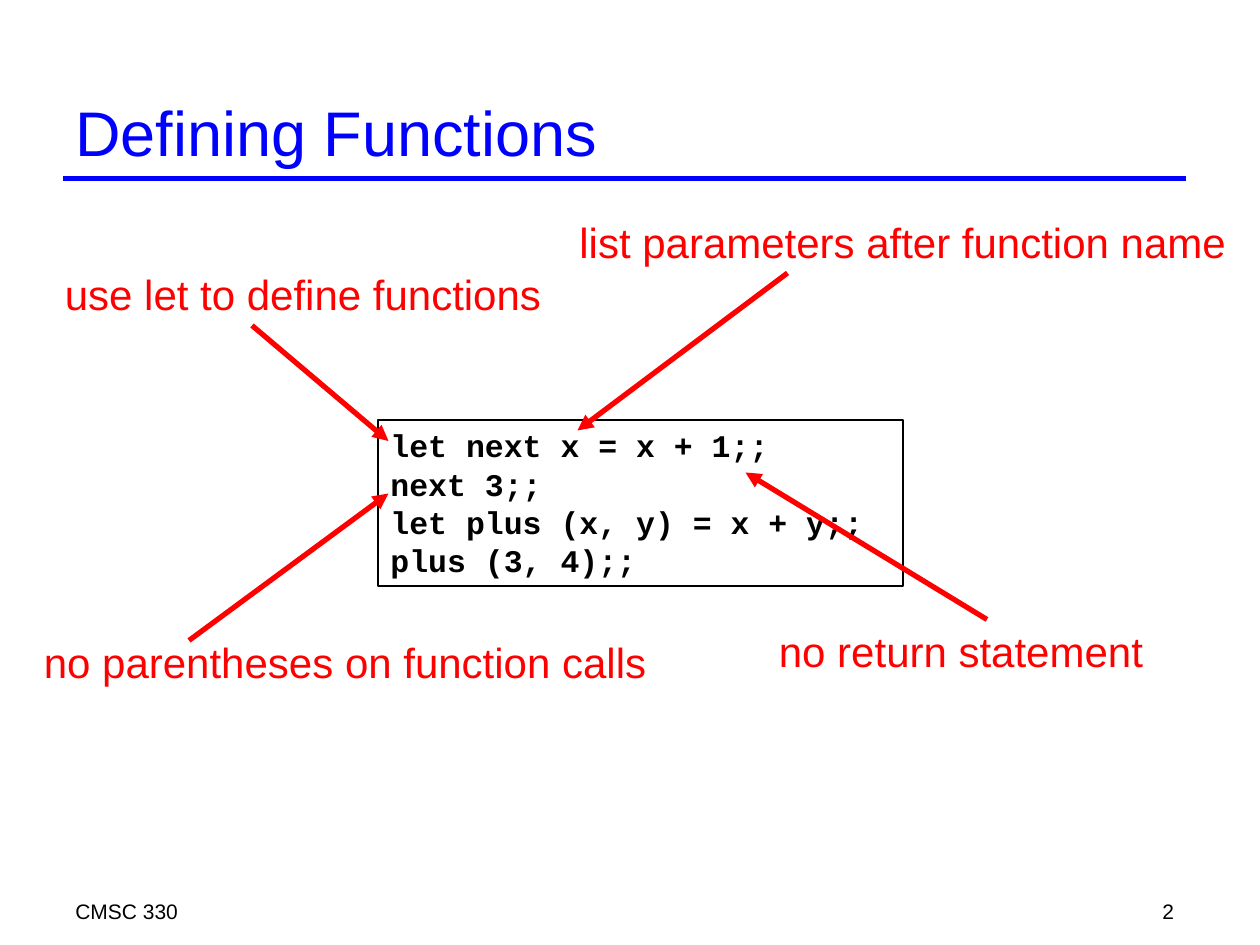
from pptx import Presentation
from pptx.dml.color import RGBColor
from pptx.enum import shapes, text
from pptx.oxml import ns, parse_xml
from pptx.util import Pt

COLORS = {"title": "0000FF", "note": "FF0000", "ink": "000000"}
CODE = ["let next x = x + 1;;", "next 3;;", "let plus (x, y) = x + y;;", "plus (3, 4);;"]
# Wording, box (left, top, width), arrow start, arrow end
NOTES = [
    ("use let to define functions", (30, 150, 286.5), (144, 186), (222, 252)),
    ("list parameters after function name", (324, 120, 384.5), (450, 156), (330, 246)),
    ("no return statement", (438, 354, 222.5), (564, 354), (426, 270)),
    ("no parentheses on function calls", (18, 360, 359.5), (108, 366), (222, 282)),
]


def color(name):
    return RGBColor.from_string(COLORS[name])


def style(para, size, ink, font="Arial", bold=False):
    para.font.name = font
    para.font.size = Pt(size)
    para.font.bold = bold
    para.font.color.rgb = color(ink)


def add_text(page, wording, left, top, width, height, size, ink, wrap=True):
    box = page.shapes.add_textbox(Pt(left), Pt(top), Pt(width), Pt(height))
    frame = box.text_frame
    frame.word_wrap = wrap
    if not wrap:
        frame.auto_size = text.MSO_AUTO_SIZE.SHAPE_TO_FIT_TEXT
    para = frame.paragraphs[0]
    para.text = wording
    style(para, size, ink)
    return frame


def add_line(page, start, end, ink, arrow=False):
    line = page.shapes.add_connector(
        shapes.MSO_CONNECTOR.STRAIGHT, *(Pt(value) for value in start + end))
    line.line.color.rgb = color(ink)
    line.line.width = Pt(3)
    properties = line._element.spPr
    properties.append(parse_xml(f"<a:effectLst {ns.nsdecls('a')}/>"))
    if arrow:
        head = parse_xml(f"<a:tailEnd {ns.nsdecls('a')} type='triangle'/>")
        properties.find(ns.qn("a:ln")).append(head)


def add_code(page, lines):
    box = page.shapes.add_shape(
        shapes.MSO_SHAPE.RECTANGLE, Pt(216), Pt(240), Pt(300), Pt(95))
    box.shadow.inherit = False
    box.fill.background()
    box.line.color.rgb = color("ink")
    box.line.width = Pt(1)
    frame = box.text_frame
    frame.word_wrap = True
    frame.vertical_anchor = text.MSO_ANCHOR.TOP
    frame.text = "\n".join(lines)
    for para in frame.paragraphs:
        style(para, 18, "ink", "Courier New", bold=True)
        para.alignment = text.PP_ALIGN.LEFT
        para.line_spacing = Pt(21.75)


def main():
    deck = Presentation()
    deck.slide_width, deck.slide_height = Pt(720), Pt(540)
    page = deck.slides.add_slide(deck.slide_layouts[6])

    add_line(page, (36, 102), (678, 102), "title")
    add_text(page, "CMSC 330", 36, 510, 438, 18, 12, "ink")
    number = add_text(page, "2", 528, 510, 150, 18, 12, "ink")
    number.paragraphs[0].alignment = text.PP_ALIGN.RIGHT
    title = add_text(page, "Defining Functions", 36, 48, 642, 54, 36, "title")
    title.vertical_anchor = text.MSO_ANCHOR.MIDDLE

    add_code(page, CODE)
    for wording, (left, top, width), start, end in NOTES:
        add_text(page, wording, left, top, width, 36, 24, "note", wrap=False)
        add_line(page, start, end, "note", arrow=True)

    deck.save("out.pptx")


if __name__ == "__main__":
    main()
